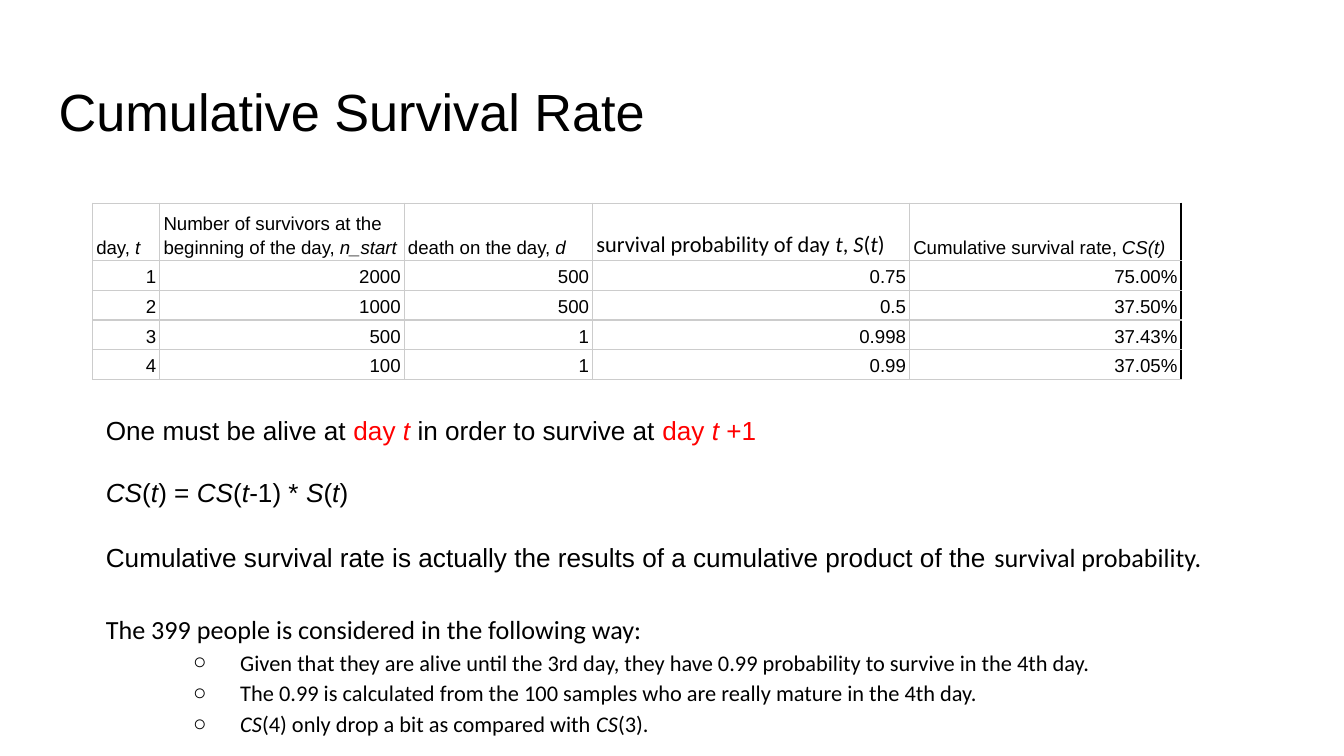
import pptx
import pptx.util
import pptx.dml.color
import pptx.enum.text
import pptx.oxml
import pptx.oxml.ns

Cm = pptx.util.Cm
Pt = pptx.util.Pt
ANCHOR = pptx.enum.text.MSO_ANCHOR
ALIGN = pptx.enum.text.PP_ALIGN
NAMESPACE = pptx.oxml.ns.nsdecls("a")


def color(value):
    return pptx.dml.color.RGBColor.from_string(value)


def add_runs(paragraph, text, font_name=None, font_color=None):
    for index, part in enumerate(text.split("|")):
        if part:
            run = paragraph.add_run()
            run.text = part
            if index % 2:
                run.font.italic = True
            if font_name:
                run.font.name = font_name
            if font_color:
                run.font.color.rgb = color(font_color)


presentation = pptx.Presentation()
presentation.slide_width = Cm(25.4)
presentation.slide_height = Cm(14.29)
slide = presentation.slides.add_slide(presentation.slide_layouts[1])
title, body = slide.placeholders

for shape, left, top, width, height in [
    (title, 0.86, 1.24, 23.67, 1.6),
    (body, 1.75, 7.59, 22.02, 3.33),
]:
    shape.left, shape.top = Cm(left), Cm(top)
    shape.width, shape.height = Cm(width), Cm(height)
    frame = shape.text_frame
    frame.word_wrap = True
    frame.auto_size = pptx.enum.text.MSO_AUTO_SIZE.NONE
    frame.vertical_anchor = ANCHOR.TOP
    frame.margin_left = frame.margin_right = Cm(0.25)
    frame.margin_top = frame.margin_bottom = Cm(0.25)

title.text_frame.text = "Cumulative Survival Rate"
heading = title.text_frame.paragraphs[0]
heading.alignment = ALIGN.LEFT
heading.font.size = Pt(28)
heading.font.name = "Arial"
heading.font.color.rgb = color("000000")

RED = "FF0000"
statements = [
    (0, 1, [("One must be alive at ",), ("day |t| ", None, RED),
            ("in order to survive at ",), ("day |t| +1", None, RED)]),
    (16, 1, [("|CS|(|t|) = |CS|(|t|-1) * |S|(|t|)",)]),
    (16, 1.15, [("Cumulative survival rate is actually the results of a cumulative product of the ",),
                ("survival probability.", "Calibri")]),
    (19, 1.15, [("The 399 people is considered in the following way:", "Calibri")]),
]
bullets = [
    "Given that they are alive until the 3rd day, they have 0.99 probability to survive in the 4th day.",
    "The 0.99 is calculated from the 100 samples who are really mature in the 4th day.",
    "|CS|(4) only drop a bit as compared with |CS|(3).",
]
lines = [(0, 14, "Arial", *statement) for statement in statements]
lines += [(1, 12, "Calibri", 0, 1.15, [(bullet,)]) for bullet in bullets]

for index, (level, size, font_name, space_before, spacing, segments) in enumerate(lines):
    frame = body.text_frame
    paragraph = frame.add_paragraph() if index else frame.paragraphs[0]
    paragraph.level = level
    paragraph.alignment = ALIGN.LEFT
    paragraph.line_spacing = spacing
    paragraph.space_before = Pt(space_before)
    paragraph.space_after = Pt(0)
    properties = paragraph._p.get_or_add_pPr()
    properties.set("marL", str(Cm(2.54 * level)))
    properties.set("indent", str(Cm(-0.89 * level)))
    if level:
        marks = ['<a:buClr {}><a:srgbClr val="000000"/></a:buClr>',
                 '<a:buFont {} typeface="Arial"/>', '<a:buChar {} char="○"/>']
    else:
        marks = ["<a:buNone {}/>"]
    for mark in marks:
        properties.append(pptx.oxml.parse_xml(mark.format(NAMESPACE)))
    paragraph.font.size = Pt(size)
    paragraph.font.name = font_name
    paragraph.font.color.rgb = color("000000")
    for segment in segments:
        add_runs(paragraph, *segment)

rows = [
    ["day, |t|", "Number of survivors at the beginning of the day, |n_start|",
     "death on the day, |d|", "survival probability of day |t|,| S|(|t|)",
     "Cumulative survival rate, |CS(t)|"],
    ["1", "2000", "500", "0.75", "75.00%"],
    ["2", "1000", "500", "0.5", "37.50%"],
    ["3", "500", "1", "0.998", "37.43%"],
    ["4", "100", "1", "0.99", "37.05%"],
]
column_widths = [1.27, 4.62, 3.56, 5.99, 5.13]
row_heights = [1.09] + [0.56] * 4
table = slide.shapes.add_table(
    len(rows), len(column_widths), Cm(1.75), Cm(3.84),
    Cm(sum(column_widths)), Cm(sum(row_heights))).table
table.first_row = False
table.horz_banding = False
for column, width in zip(table.columns, column_widths):
    column.width = Cm(width)
for row, height in zip(table.rows, row_heights):
    row.height = Cm(height)

for row_index, row in enumerate(rows):
    for column_index, text in enumerate(row):
        cell = table.cell(row_index, column_index)
        cell.vertical_anchor = ANCHOR.BOTTOM
        cell.margin_left = cell.margin_right = Cm(0.07)
        cell.margin_top = cell.margin_bottom = Cm(0.05)
        paragraph = cell.text_frame.paragraphs[0]
        paragraph.alignment = ALIGN.RIGHT if row_index else ALIGN.LEFT
        paragraph.line_spacing = 1.15
        is_probability_header = row_index == 0 and column_index == 3
        paragraph.font.size = Pt(12 if is_probability_header else 10)
        paragraph.font.name = "Calibri" if is_probability_header else "Arial"
        paragraph.font.color.rgb = color("000000")
        add_runs(paragraph, text)
        for side in "LRTB":
            is_outer_right = side == "R" and column_index == len(row) - 1
            border_color = "000000" if is_outer_right else "CCCCCC"
            cell._tc.get_or_add_tcPr().append(pptx.oxml.parse_xml(
                f'<a:ln{side} {NAMESPACE} w="{Pt(0.74)}"><a:solidFill>'
                f'<a:srgbClr val="{border_color}"/></a:solidFill></a:ln{side}>'))
        cell.fill.background()

presentation.save("out.pptx")
